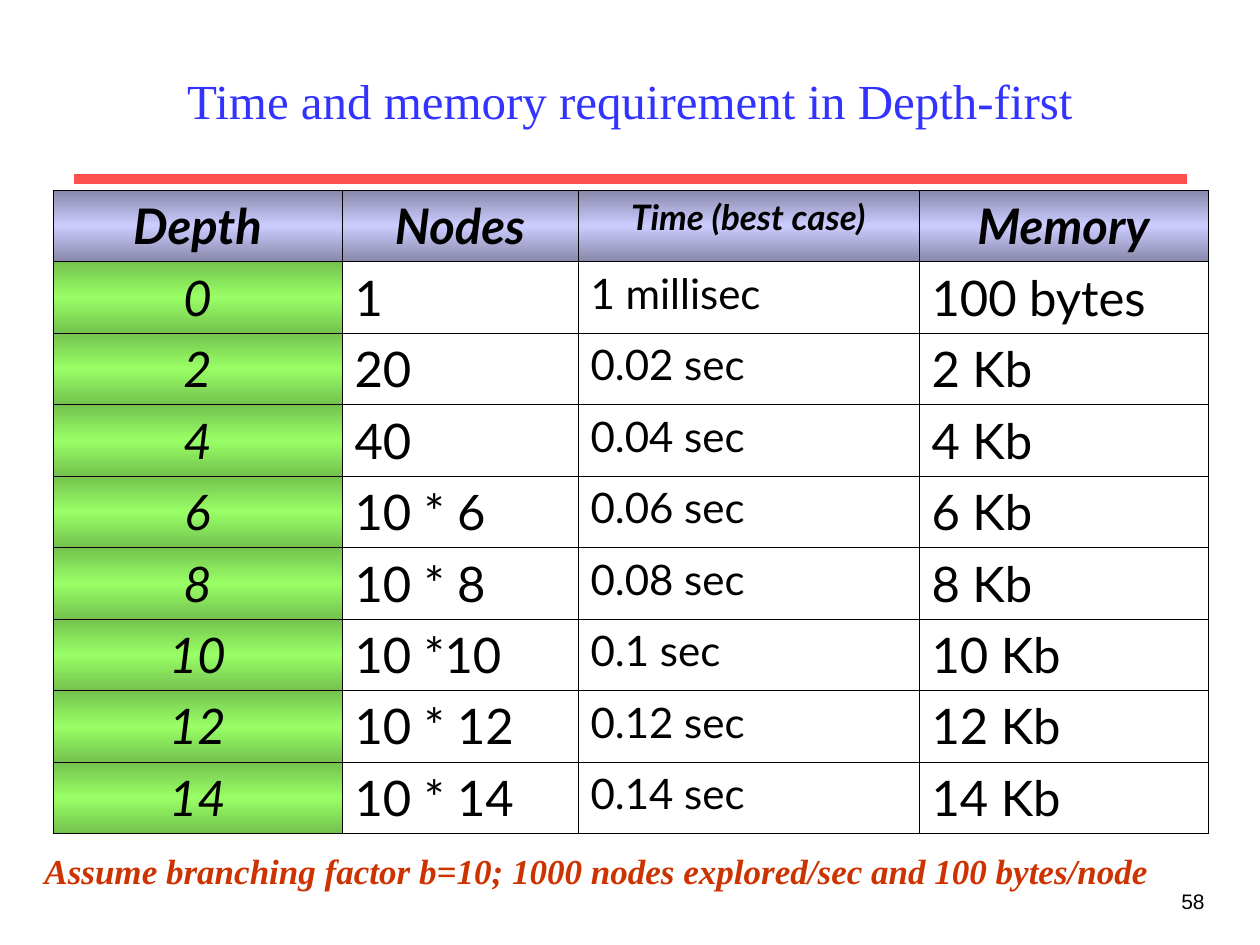
import pptx
import pptx.dml.color
import pptx.enum.shapes
import pptx.enum.text
import pptx.oxml
import pptx.oxml.ns
import pptx.util

RGB = pptx.dml.color.RGBColor
ALIGN = pptx.enum.text.PP_ALIGN
MIDDLE = pptx.enum.text.MSO_ANCHOR.MIDDLE

BLUE = RGB(0x33, 0x33, 0xFF)
RED = RGB(0xFF, 0x50, 0x50)
RUST = RGB(0xCC, 0x33, 0x00)
BLACK = RGB(0, 0, 0)
LILAC = (RGB(0x88, 0x88, 0xAA), RGB(0xCC, 0xCC, 0xFF))
GREEN = (RGB(0x74, 0xC2, 0x4E), RGB(0x99, 0xFF, 0x66))

SCALE = 914400 / 126
SIDES = ("lnL", "lnR", "lnT", "lnB")
WIDTHS = (289, 236, 341, 289)
HEADS = ("Depth", "Nodes", "Time (best case)", "Memory")
ROWS = (
    ("0", "1", "1 millisec", "100 bytes"),
    ("2", "20", "0.02 sec", "2 Kb"),
    ("4", "40", "0.04 sec", "4 Kb"),
    ("6", "10 * 6", "0.06 sec", "6 Kb"),
    ("8", "10 * 8", "0.08 sec", "8 Kb"),
    ("10", "10 *10", "0.1 sec", "10 Kb"),
    ("12", "10 * 12", "0.12 sec", "12 Kb"),
    ("14", "10 * 14", "0.14 sec", "14 Kb"),
)


def px(*nums):
    """Turn px lengths into a list of EMU lengths."""
    return [pptx.util.Emu(round(n * SCALE)) for n in nums]


def write(frame, text, size, color, align=ALIGN.LEFT, **form):
    """Fill a text frame with one formatted paragraph."""
    frame.text = text
    para = frame.paragraphs[0]
    para.alignment = align
    form["size"] = pptx.util.Pt(size)
    for name, value in form.items():
        setattr(para.font, name, value)
    para.font.color.rgb = color


def add_title(slide, text):
    title = slide.shapes.title
    title.left, title.top, title.width, title.height = px(95, 32, 1070, 136)
    title.text_frame.vertical_anchor = MIDDLE
    write(title.text_frame, text, 28, BLUE, ALIGN.CENTER,
          name="Times New Roman")


def add_rule(slide):
    kind = pptx.enum.shapes.MSO_CONNECTOR.STRAIGHT
    rule = slide.shapes.add_connector(kind, *px(74, 179, 1187, 179))
    rule.line.color.rgb = RED
    rule.line.width = pptx.util.Pt(6)
    props = rule.element.find(pptx.oxml.ns.qn("p:spPr"))
    props.append(pptx.oxml.parse_xml(
        f'<a:effectLst {pptx.oxml.ns.nsdecls("a")}/>'))


def add_note(slide, box, *text, **form):
    note = slide.shapes.add_textbox(*px(*box))
    note.text_frame.word_wrap = True
    write(note.text_frame, *text, **form)


def frame_cell(cell):
    """Draw a thin black border on all four sides."""
    props = cell._tc.get_or_add_tcPr()
    for side in SIDES:
        props.append(pptx.oxml.parse_xml(
            f'<a:{side} {pptx.oxml.ns.nsdecls("a")} w="5715"><a:solidFill>'
            f'<a:srgbClr val="{BLACK}"/></a:solidFill></a:{side}>'))


def shade(cell, edge, core):
    """Fill with a vertical blend, dark at both edges."""
    stops = "".join(
        f'<a:gs pos="{pos}"><a:srgbClr val="{color}"/></a:gs>'
        for pos, color in ((0, edge), (50000, core), (100000, edge)))
    cell._tc.get_or_add_tcPr().append(pptx.oxml.parse_xml(
        f'<a:gradFill {pptx.oxml.ns.nsdecls("a")} rotWithShape="0">'
        f'<a:gsLst>{stops}</a:gsLst>'
        '<a:lin ang="5400000" scaled="1"/></a:gradFill>'))


def add_grid(slide):
    lines = (HEADS,) + ROWS
    box = px(53, 190, sum(WIDTHS), 643)
    grid = slide.shapes.add_table(len(lines), len(HEADS), *box).table
    grid.first_row = grid.horz_banding = False
    for col, width in zip(grid.columns, px(*WIDTHS)):
        col.width = width
    for r, line in enumerate(lines):
        for c, text in enumerate(line):
            cell = grid.cell(r, c)
            head, side = r == 0, c == 0
            frame_cell(cell)
            if head or side:
                shade(cell, *(LILAC if head else GREEN))
            else:
                cell.fill.background()
            size = 28 if c != 2 else 20 if head else 24
            align = ALIGN.CENTER if head or side else ALIGN.LEFT
            write(cell.text_frame, text, size, BLACK, align,
                  name="Lato", bold=head, italic=head or side)


def main():
    deck = pptx.Presentation()
    deck.slide_width, deck.slide_height = px(1260, 945)
    slide = deck.slides.add_slide(deck.slide_layouts[5])
    add_title(slide, "Time and memory requirement in Depth-first")
    add_rule(slide)
    add_grid(slide)
    add_note(slide, (32, 843, 1166, 55),
             "Assume branching factor b=10; 1000 nodes explored/sec "
             "and 100 bytes/node", 20, RUST,
             name="Times New Roman", bold=True, italic=True)
    add_note(slide, (955, 882, 262, 63), "58", 12, BLACK, ALIGN.RIGHT,
             name="Arial")
    deck.save("out.pptx")


if __name__ == "__main__":
    main()
